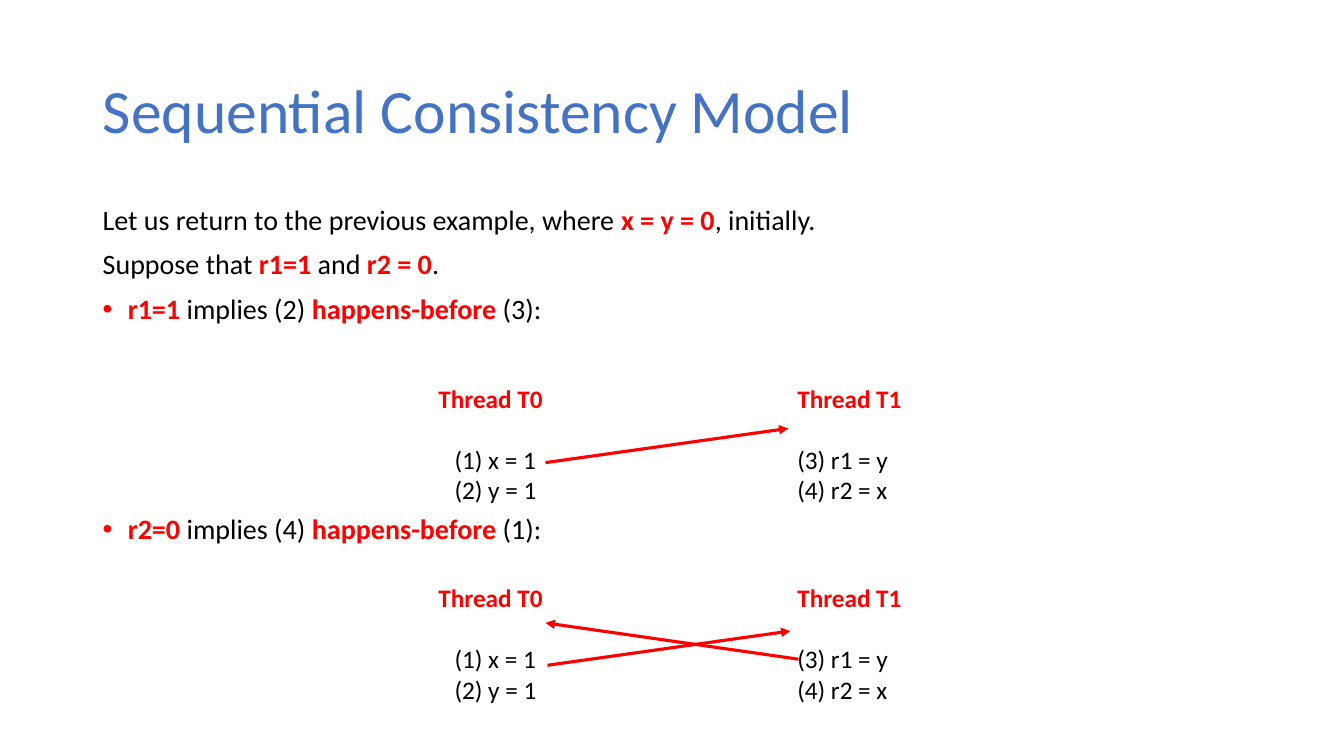
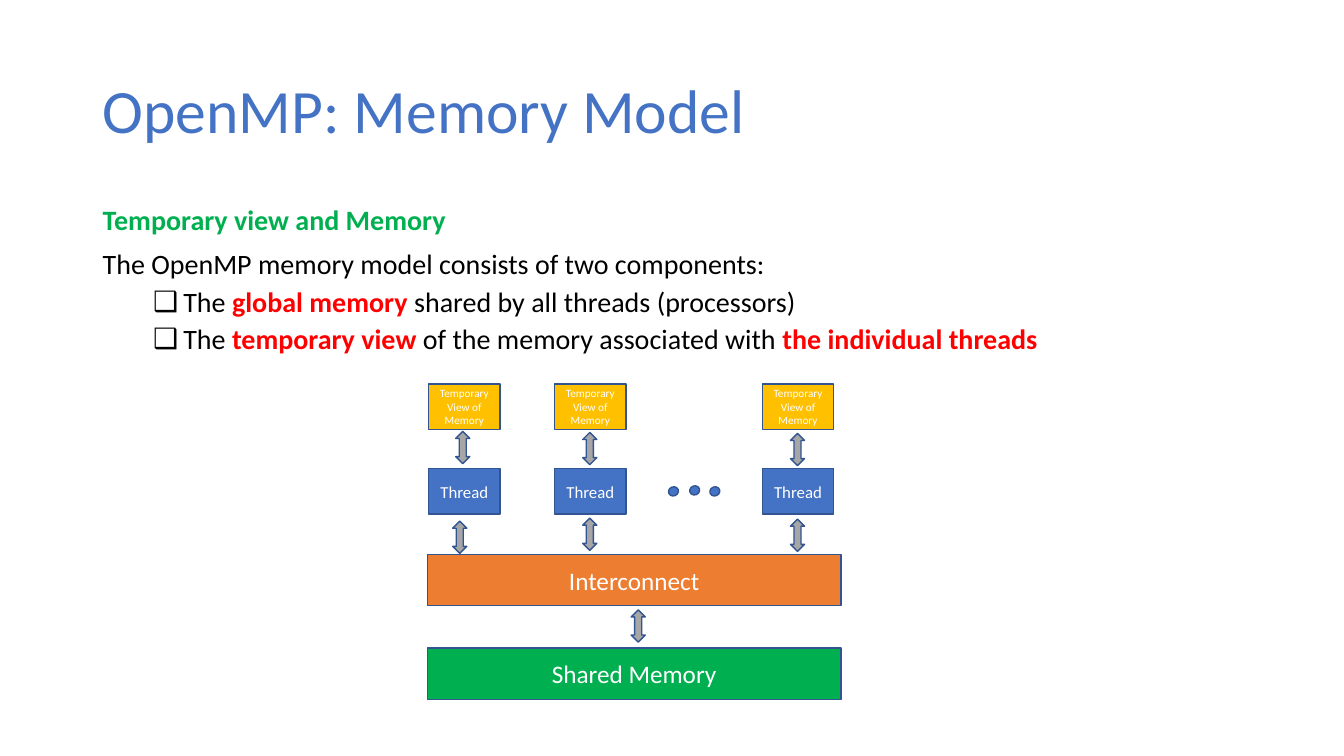
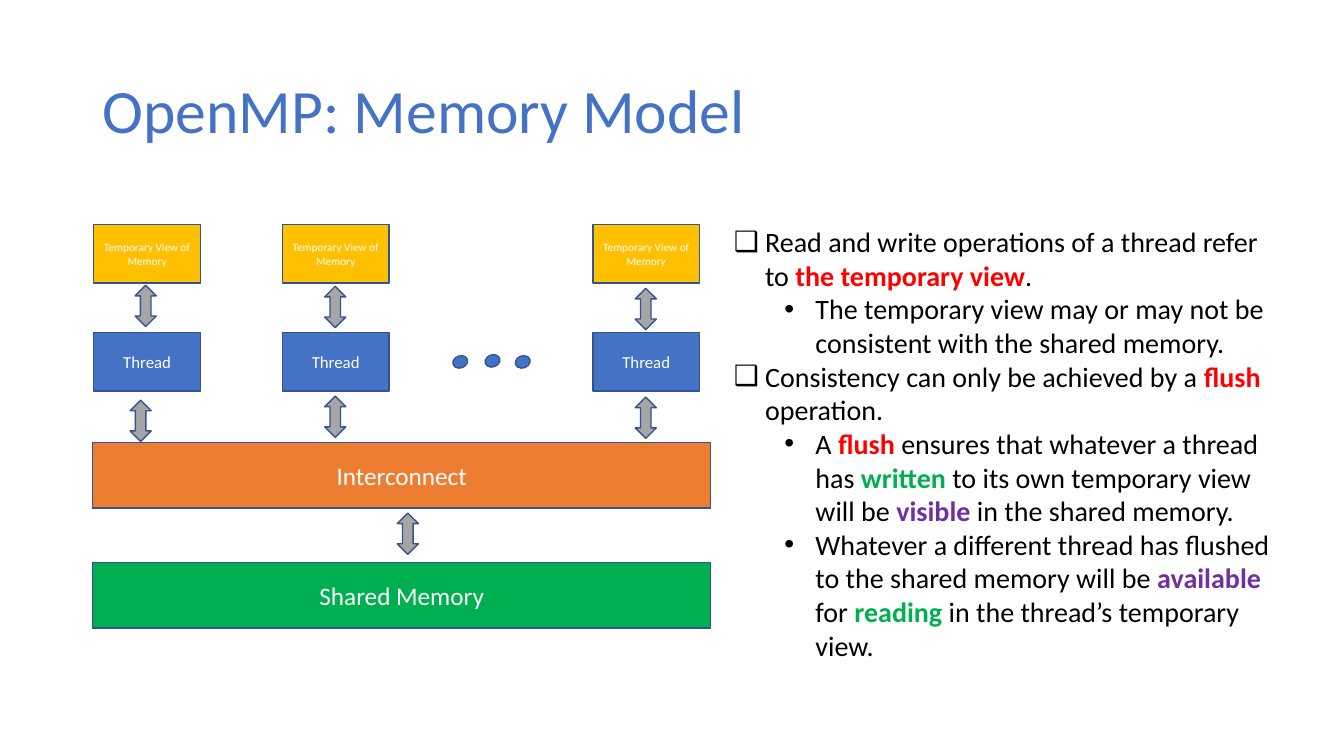
from lxml.etree import SubElement
from pptx import Presentation
from pptx.dml.color import RGBColor
from pptx.enum.shapes import MSO_CONNECTOR, MSO_SHAPE
from pptx.enum.text import MSO_ANCHOR, MSO_AUTO_SIZE, PP_ALIGN
from pptx.oxml.ns import qn
from pptx.util import Emu, Pt

EMU_PER_PX = 9144
FONT = "Calibri"
COLOURS = {
    "black": "000000",
    "white": "FFFFFF",
    "blue": "4472C4",
    "outline": "325491",
    "red": "FF0000",
    "green": "00B050",
    "purple": "7030A0",
    "gold": "FFC000",
    "orange": "ED7D31",
    "grey": "A6A6A6",
}
BODY_BOX = (92, 200, 1150, 476)
DIAGRAM_COLUMNS = (1, 126, 332)
DIAGRAM_ARROWS = ((28, 47), (154, 48), (360, 49),
                  (25, 136), (154, 133), (360, 134), (202, 224))
DIAGRAM_DOTS = ((239, 102), (260, 101), (280, 102))


def px(length):
    return Emu(length * EMU_PER_PX)


def colour(name):
    return RGBColor.from_string(COLOURS[name])


def style_font(font, size, colour_name, bold=False):
    font.name = FONT
    font.size = Pt(size)
    font.bold = bold
    font.color.rgb = colour(colour_name)


def add_titled_slide(presentation, title):
    slide = presentation.slides.add_slide(presentation.slide_layouts[5])
    shape = slide.shapes.title
    shape.left, shape.top, shape.width, shape.height = map(px, (92, 40, 1150, 145))
    frame = shape.text_frame
    frame.text = title
    frame.auto_size = MSO_AUTO_SIZE.NONE
    frame.vertical_anchor = MSO_ANCHOR.MIDDLE
    paragraph = frame.paragraphs[0]
    paragraph.alignment = PP_ALIGN.LEFT
    paragraph.line_spacing = 0.9
    style_font(paragraph.font, 44, "blue")
    return slide


def set_indent(paragraph, margin, hanging=0, bullet=None):
    properties = paragraph._p.get_or_add_pPr()
    properties.set("marL", str(px(margin)))
    properties.set("indent", str(-px(hanging)))
    if bullet:
        SubElement(properties, qn("a:buFont"), typeface="Arial")
        SubElement(properties, qn("a:buChar"), char=bullet)


def add_text(slide, box, paragraphs, size=20, line_spacing=1.0):
    frame = slide.shapes.add_textbox(*map(px, box)).text_frame
    frame.word_wrap = True
    for index, (segments, options) in enumerate(paragraphs):
        paragraph = frame.paragraphs[0] if index == 0 else frame.add_paragraph()
        paragraph.level = options.get("level", 0)
        paragraph.line_spacing = line_spacing
        paragraph.space_before = Pt(options.get("before", 0))
        set_indent(paragraph, options.get("margin", 0), options.get("hanging", 0),
                   options.get("bullet"))
        style_font(paragraph.font, size, "black")
        for segment in segments:
            text, accent = (segment, None) if isinstance(segment, str) else segment
            run = paragraph.add_run()
            run.text = text
            style_font(run.font, size, accent or "black", accent is not None)


def add_arrow(slide, start, end):
    connector = slide.shapes.add_connector(
        MSO_CONNECTOR.STRAIGHT, *map(px, start + end))
    connector.line.color.rgb = colour("red")
    connector.line.width = Pt(2.25)
    SubElement(connector.line._get_or_add_ln(), qn("a:tailEnd"), type="triangle")
    SubElement(connector._element.spPr, qn("a:effectLst"))


def add_block(slide, kind, box, fill, text="", size=18):
    shape = slide.shapes.add_shape(kind, *map(px, box))
    shape.shadow.inherit = False
    shape.fill.solid()
    shape.fill.fore_color.rgb = colour(fill)
    shape.line.color.rgb = colour("outline")
    shape.line.width = Pt(1)
    if text:
        frame = shape.text_frame
        frame.text = text
        frame.word_wrap = True
        frame.vertical_anchor = MSO_ANCHOR.MIDDLE
        frame.paragraphs[0].alignment = PP_ALIGN.CENTER
        style_font(frame.paragraphs[0].font, size, "white")
    return shape


def add_threads(slide, top):
    columns = (
        (425, 16, "Thread T0", ("(1) x = 1", "(2) y = 1")),
        (781, 0, "Thread T1", ("(3) r1 = y", "(4) r2 = x")),
    )
    for left, margin, heading, (first, second) in columns:
        add_text(slide, (left, top, 146, 131), [
            ([(heading, "red")], {}),
            ([first], {"margin": margin, "before": 22}),
            ([second], {"margin": margin}),
        ], size=18)


def add_memory_diagram(slide, left, top, width, height):
    scale_x, scale_y = width / 410, height / 313

    def place(x, y, block_width, block_height):
        return (round(left + x * scale_x), round(top + y * scale_y),
                round(block_width * scale_x), round(block_height * scale_y))

    for x, y in DIAGRAM_DOTS:
        dot = add_block(slide, MSO_SHAPE.FLOWCHART_CONNECTOR, place(x, y, 10, 9), "blue")
        dot.rotation = 339.5
    for x in DIAGRAM_COLUMNS:
        add_block(slide, MSO_SHAPE.RECTANGLE, place(x, 0, 71, 45), "gold",
                  "Temporary View of Memory", 8)
        add_block(slide, MSO_SHAPE.RECTANGLE, place(x, 84, 71, 45), "blue", "Thread", 12)
    for y, fill, text in ((169, "orange", "Interconnect"), (262, "green", "Shared Memory")):
        add_block(slide, MSO_SHAPE.RECTANGLE, place(0, y, 410, 51), fill, text)
    for x, y in DIAGRAM_ARROWS:
        add_block(slide, MSO_SHAPE.UP_DOWN_ARROW, place(x, y, 14, 32), "grey")


def build_consistency_slide(presentation):
    slide = add_titled_slide(presentation, "Sequential Consistency Model")
    bullet = {"margin": 25, "hanging": 25, "bullet": "•"}
    add_text(slide, BODY_BOX, [
        (["Let us return to the previous example, where ", ("x = y = 0", "red"),
          ", initially."], {"before": 10}),
        (["Suppose that ", ("r1=1", "red"), " and ", ("r2 = 0", "red"), "."],
         {"before": 10}),
        ([("r1=1", "red"), " implies (2) ", ("happens-before", "red"), " (3):"],
         {**bullet, "before": 10}),
        ([("r2=0", "red"), " implies (4) ", ("happens-before", "red"), " (1):"],
         {**bullet, "before": 136}),
    ], line_spacing=0.9)
    for top in (375, 573):
        add_threads(slide, top)
    add_arrow(slide, (541, 459), (782, 425))
    add_arrow(slide, (792, 654), (541, 618))
    add_arrow(slide, (543, 660), (784, 626))


def build_components_slide(presentation):
    slide = add_titled_slide(presentation, "OpenMP: Memory Model")
    bullet = {"level": 1, "margin": 80, "hanging": 30, "bullet": "❑", "before": 5}
    add_text(slide, BODY_BOX, [
        ([("Temporary view and Memory", "green")], {"before": 10}),
        (["The OpenMP memory model consists of two components:"], {"before": 10}),
        (["The ", ("global memory", "red"), " shared by all threads (processors)"], bullet),
        (["The ", ("temporary view", "red"), " of the memory associated with ",
          ("the individual threads", "red")], bullet),
    ], line_spacing=0.9)
    add_memory_diagram(slide, 424, 381, 410, 313)


def build_flush_slide(presentation):
    slide = add_titled_slide(presentation, "OpenMP: Memory Model")
    add_memory_diagram(slide, 92, 223, 613, 400)
    box_bullet = {"margin": 31, "hanging": 31, "bullet": "❑"}
    dot_bullet = {"level": 1, "margin": 81, "hanging": 31, "bullet": "•"}
    add_text(slide, (718, 218, 558, 448), [
        (["Read and write operations of a thread refer to ",
          ("the temporary view", "red"), "."], box_bullet),
        (["The temporary view may or may not be consistent with the shared memory."],
         dot_bullet),
        (["Consistency can only be achieved by a ", ("flush", "red"), " operation."],
         box_bullet),
        (["A ", ("flush", "red"), " ensures that whatever a thread has ",
          ("written", "green"), " to its own temporary view will be ",
          ("visible", "purple"), " in the shared memory."], dot_bullet),
        (["Whatever a different thread has flushed to the shared memory will be ",
          ("available", "purple"), " for ", ("reading", "green"),
          " in the thread’s temporary view."], dot_bullet),
    ])


def main():
    presentation = Presentation()
    presentation.slide_width = px(1333)
    presentation.slide_height = px(750)
    build_consistency_slide(presentation)
    build_components_slide(presentation)
    build_flush_slide(presentation)
    presentation.save("out.pptx")


if __name__ == "__main__":
    main()
